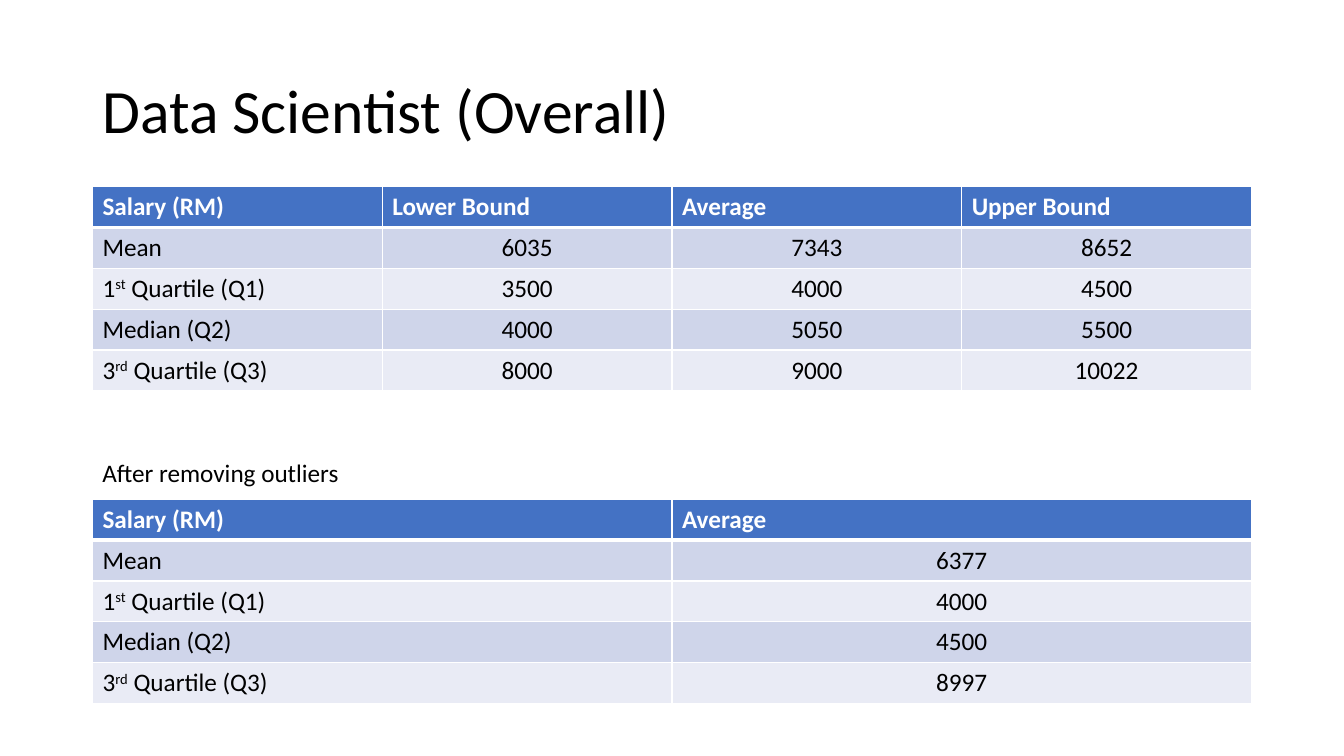
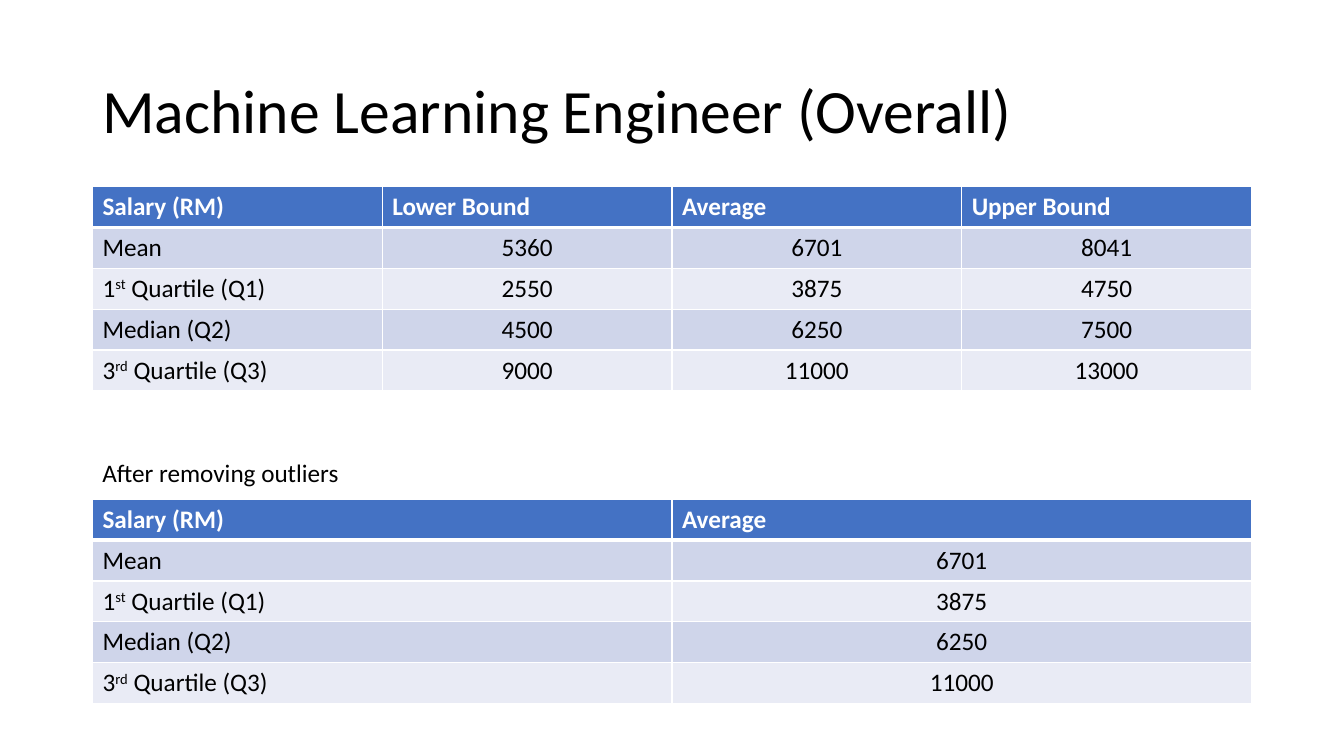
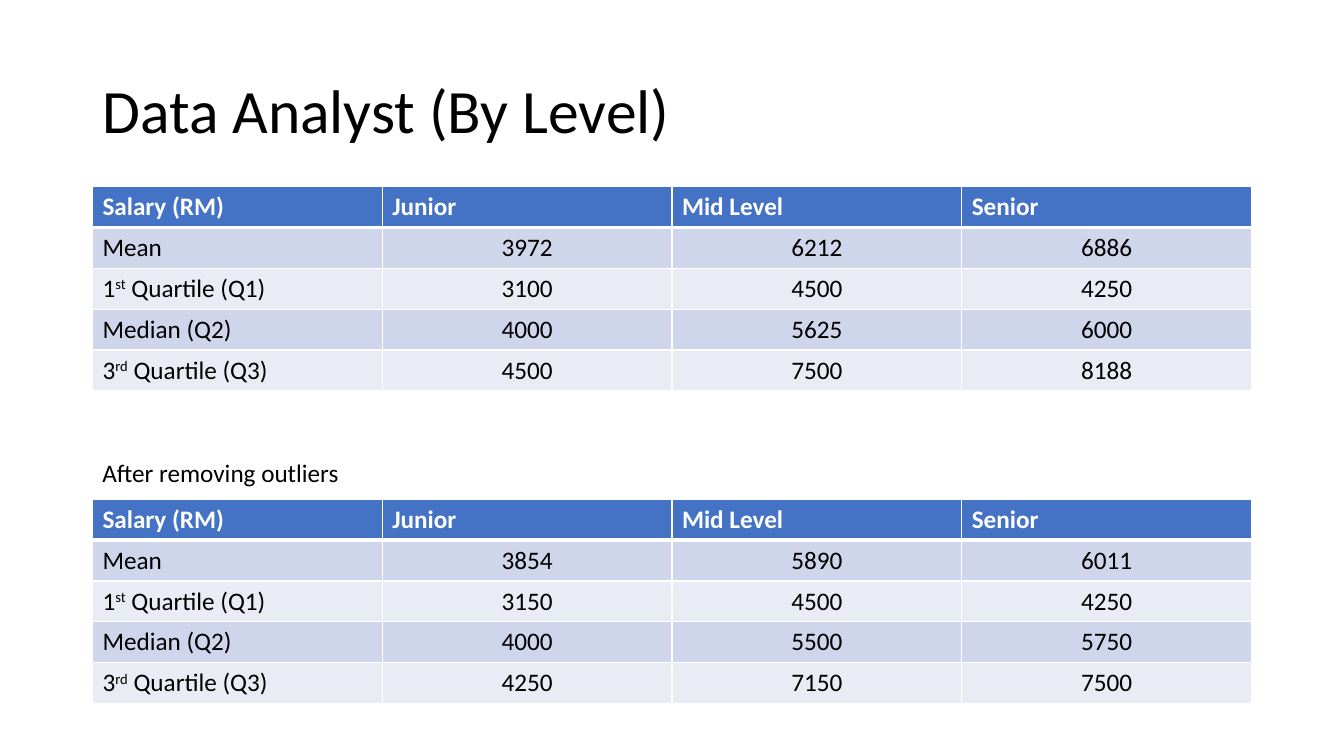
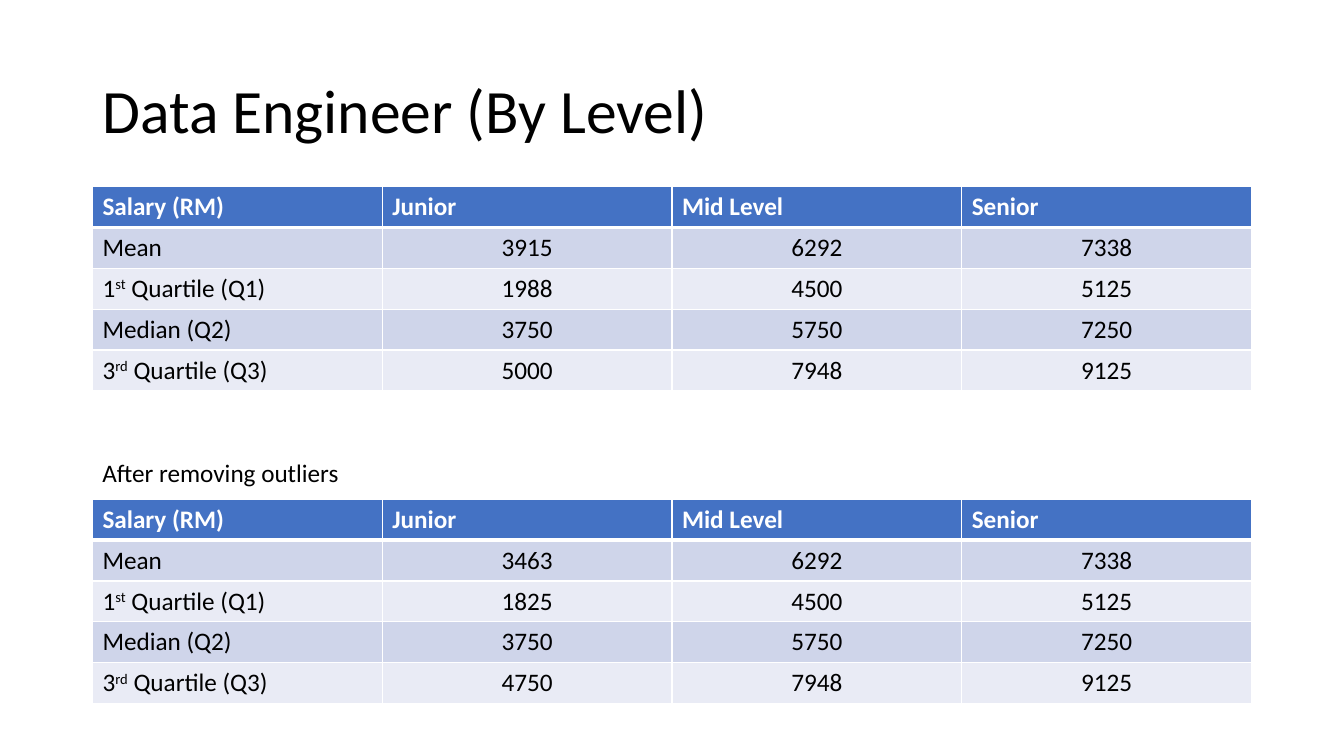
"""Build four slides of salary tables, before and after removing outliers."""
from lxml.etree import SubElement
from pptx import Presentation
from pptx.dml.color import RGBColor
from pptx.enum.text import MSO_ANCHOR, MSO_AUTO_SIZE, PP_ALIGN
from pptx.oxml.ns import qn
from pptx.util import Cm, Pt

WHITE = RGBColor(0xFF, 0xFF, 0xFF)
BLACK = RGBColor(0x00, 0x00, 0x00)
HEADER_BLUE = RGBColor(0x44, 0x72, 0xC4)
BAND_DARK = RGBColor(0xCF, 0xD5, 0xEA)
BAND_LIGHT = RGBColor(0xE9, 0xEB, 0xF5)
FONT = "Calibri"

LEFT, WIDTH = Cm(2.33), Cm(29.21)
ROW_HEIGHT = Cm(1.03)
TABLE_TOPS = (Cm(4.7), Cm(12.58))

ROW_LABELS = (("Mean",), ("1", "st", " Quartile (Q1)"),
              ("Median (Q2)",), ("3", "rd", " Quartile (Q3)"))
BOUNDS = ("Lower Bound", "Average", "Upper Bound")
LEVELS = ("Junior", "Mid Level", "Senior")

SLIDES = (
    ("Data Scientist (Overall)",
     (BOUNDS, ((6035, 7343, 8652), (3500, 4000, 4500),
               (4000, 5050, 5500), (8000, 9000, 10022))),
     (("Average",), ((6377,), (4000,), (4500,), (8997,)))),
    ("Machine Learning Engineer (Overall)",
     (BOUNDS, ((5360, 6701, 8041), (2550, 3875, 4750),
               (4500, 6250, 7500), (9000, 11000, 13000))),
     (("Average",), ((6701,), (3875,), (6250,), (11000,)))),
    ("Data Analyst (By Level)",
     (LEVELS, ((3972, 6212, 6886), (3100, 4500, 4250),
               (4000, 5625, 6000), (4500, 7500, 8188))),
     (LEVELS, ((3854, 5890, 6011), (3150, 4500, 4250),
               (4000, 5500, 5750), (4250, 7150, 7500)))),
    ("Data Engineer (By Level)",
     (LEVELS, ((3915, 6292, 7338), (1988, 4500, 5125),
               (3750, 5750, 7250), (5000, 7948, 9125))),
     (LEVELS, ((3463, 6292, 7338), (1825, 4500, 5125),
               (3750, 5750, 7250), (4750, 7948, 9125)))),
)


def write(paragraph, parts, size=18, color=BLACK, bold=False):
    """Fill a paragraph; every second part is superscript."""
    font = paragraph.font
    font.name, font.size, font.bold = FONT, Pt(size), bold
    font.color.rgb = color
    for index, part in enumerate(parts):
        run = paragraph.add_run()
        run.text = part
        if index % 2:
            run.font._element.set("baseline", "30000")


def style_cell(cell, row):
    """Give a cell its white borders and the fill of its row."""
    properties = cell._tc.get_or_add_tcPr()
    thick_side = {0: "lnB", 1: "lnT"}.get(row)
    for side in ("lnL", "lnR", "lnT", "lnB"):
        points = 3 if side == thick_side else 1
        line = SubElement(properties, qn(f"a:{side}"), w=str(Pt(points)))
        fill = SubElement(line, qn("a:solidFill"))
        SubElement(fill, qn("a:srgbClr"), val=str(WHITE))
    cell.fill.solid()
    cell.fill.fore_color.rgb = (
        HEADER_BLUE if row == 0 else BAND_DARK if row % 2 else BAND_LIGHT)


presentation = Presentation()
presentation.slide_width, presentation.slide_height = Cm(33.87), Cm(19.05)
blank_layout = presentation.slide_layouts[6]

for title, *tables in SLIDES:
    slide = presentation.slides.add_slide(blank_layout)

    title_frame = slide.shapes.add_textbox(LEFT, Cm(1.01), WIDTH, Cm(3.68)).text_frame
    title_frame.word_wrap = True
    title_frame.vertical_anchor = MSO_ANCHOR.MIDDLE
    title_frame.paragraphs[0].line_spacing = 0.9
    write(title_frame.paragraphs[0], (title,), size=44)

    for top, (headings, values) in zip(TABLE_TOPS, tables):
        rows = [[("Salary (RM)",), *((heading,) for heading in headings)]]
        for label, numbers in zip(ROW_LABELS, values):
            rows.append([label, *((str(number),) for number in numbers)])
        table = slide.shapes.add_table(
            len(rows), len(rows[0]), LEFT, top, WIDTH, ROW_HEIGHT * len(rows)).table
        for row, entries in enumerate(rows):
            for column, parts in enumerate(entries):
                cell = table.cell(row, column)
                style_cell(cell, row)
                paragraph = cell.text_frame.paragraphs[0]
                if row and column:
                    paragraph.alignment = PP_ALIGN.CENTER
                write(paragraph, parts, color=BLACK if row else WHITE, bold=row == 0)

    caption_frame = slide.shapes.add_textbox(LEFT, Cm(11.4), Cm(6.55), Cm(1.03)).text_frame
    caption_frame.word_wrap = False
    caption_frame.auto_size = MSO_AUTO_SIZE.SHAPE_TO_FIT_TEXT
    write(caption_frame.paragraphs[0], ("After removing outliers",))

presentation.save("out.pptx")
